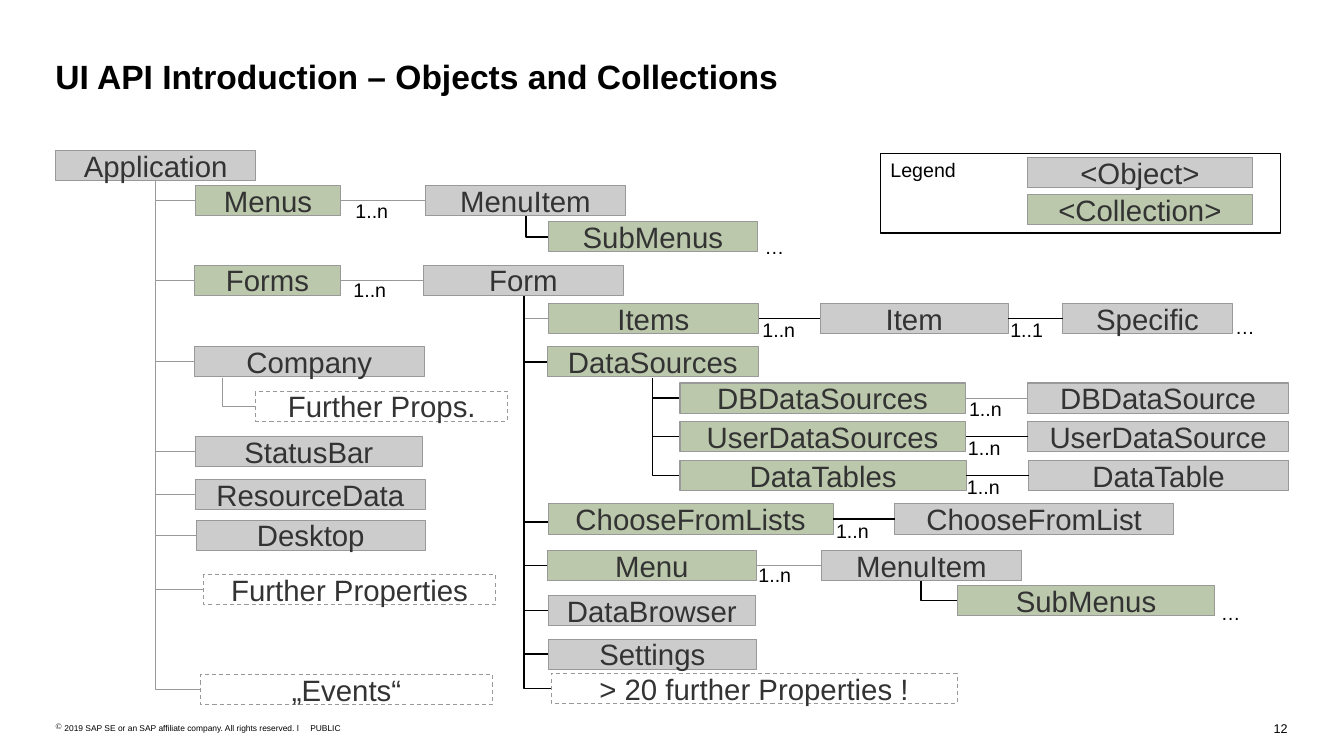
"""Build the UI API object and collection hierarchy slide."""
from lxml.etree import SubElement
from pptx import Presentation
from pptx.dml.color import RGBColor
from pptx.enum.dml import MSO_LINE
from pptx.enum.shapes import MSO_CONNECTOR, MSO_SHAPE
from pptx.enum.text import MSO_ANCHOR, PP_ALIGN
from pptx.oxml.ns import qn
from pptx.util import Pt

SCALE = 9144
FONT = "Arial"
BOX_HEIGHT = 30
COLOURS = {
    "object": "CCCCCC",
    "collection": "BBC8AC",
    "grey": "999999",
    "black": "000000",
    "label": "333333",
}
LINE_WIDTHS = {"grey": 0.75, "black": 1}

BRANCHES = [
    (154, 180, "grey", [
        ("Menus", 194, 184, 144, "collection"),
        ("Forms", 193, 263, 145, "collection"),
        ("Company", 193, 344, 228, "object"),
        ("StatusBar", 194, 433, 225, "object"),
        ("ResourceData", 194, 476, 228, "object"),
        ("Desktop", 195, 516, 227, "object"),
        ("Further Properties", 202, 570, 290, "further"),
        ("„Events“", 199, 669, 290, "further"),
    ]),
    (221, 375, "grey", [("Further Props.", 254, 388, 250, "further")]),
    (522, 214, "black", [("SubMenus", 544, 220, 208, "collection")]),
    (520, 293, "grey", [("Items", 544, 301, 209, "collection")]),
    (520, 293, "black", [
        ("DataSources", 543, 344, 210, "collection"),
        ("Menu", 543, 546, 208, "collection"),
        ("DataBrowser", 544, 591, 206, "object"),
        ("Settings", 544, 634, 207, "object"),
        ("> 20 further Properties !", 547, 668, 403, "further"),
    ]),
    (648, 375, "black", [
        ("DBDataSources", 675, 380, 283, "collection"),
        ("UserDataSources", 675, 418, 283, "collection"),
        ("DataTables", 675, 457, 284, "collection"),
    ]),
    (914, 576, "black", [("SubMenus", 950, 581, 256, "collection")]),
]
OTHER_BOXES = [
    ("Application", 55, 149, 199, "object"),
    ("MenuItem", 422, 184, 199, "object"),
    ("Form", 420, 263, 199, "object"),
    ("Item", 814, 301, 187, "object"),
    ("Specific", 1055, 301, 168, "object"),
    ("DBDataSource", 1020, 380, 259, "object"),
    ("UserDataSource", 1020, 418, 259, "object"),
    ("DataTable", 1021, 457, 258, "object"),
    ("ChooseFromLists", 544, 500, 283, "collection"),
    ("ChooseFromList", 888, 500, 277, "object"),
    ("MenuItem", 815, 546, 199, "object"),
    ("<Object>", 1020, 156, 223, "object"),
    ("<Collection>", 1020, 193, 223, "collection"),
]
LINKS = [
    (338, 422, 199, "grey"),
    (338, 420, 278, "grey"),
    (753, 814, 316, "black"),
    (1001, 1055, 316, "black"),
    (959, 1020, 395, "grey"),
    (959, 1020, 433, "black"),
    (959, 1021, 472, "black"),
    (520, 544, 518, "black"),
    (827, 888, 515, "black"),
    (751, 815, 561, "grey"),
]
LABELS = {
    "1..n": [(343, 192), (341, 271), (747, 311), (952, 389), (951, 428),
             (950, 466), (820, 510), (743, 554)],
    "1..1": [(993, 311)],
    "…": [(749, 228), (1216, 308), (1202, 591)],
}


def px(*lengths):
    """Turn whole px lengths into EMU."""
    return [round(length * SCALE) for length in lengths]


def colour(name):
    """Look up a named colour."""
    return RGBColor.from_string(COLOURS[name])


def write(shape, text, size=14, tone="black", bold=False, align=PP_ALIGN.LEFT,
          anchor=MSO_ANCHOR.TOP, wrap=True, margins=(10, 5), bullet=None):
    """Put formatted text into a shape."""
    frame = shape.text_frame
    frame.word_wrap = wrap
    frame.vertical_anchor = anchor
    frame.margin_left = frame.margin_right = px(margins[0])[0]
    frame.margin_top = frame.margin_bottom = px(margins[1])[0]
    para = frame.paragraphs[0]
    para.alignment = align
    if bullet:
        properties = para._p.get_or_add_pPr()
        indent = px(9)[0]
        properties.set("marL", str(indent))
        properties.set("indent", str(-indent))
        SubElement(properties, qn("a:buChar")).set("char", bullet)
    span = para.add_run()
    span.text = text
    span.font.name = FONT
    span.font.size = Pt(size)
    span.font.bold = bold
    span.font.color.rgb = colour(tone)


def add_text(page, text, left, top, width, height, **style):
    """Add a text box."""
    box = page.shapes.add_textbox(*px(left, top, width, height))
    write(box, text, **style)


def paint_line(line, tone):
    """Give a line its tone and matching width."""
    line.color.rgb = colour(tone)
    line.width = Pt(LINE_WIDTHS[tone])


def add_rectangle(page, left, top, width, height, tone, fill=None):
    """Add a flat outlined rectangle."""
    box = page.shapes.add_shape(MSO_SHAPE.RECTANGLE, *px(left, top, width, height))
    box.shadow.inherit = False
    if fill:
        box.fill.solid()
        box.fill.fore_color.rgb = colour(fill)
    else:
        box.fill.background()
    paint_line(box.line, tone)
    return box


def add_box(page, text, left, top, width, kind):
    """Add an object, collection or dashed further-members box."""
    further = kind == "further"
    box = add_rectangle(page, left, top, width, BOX_HEIGHT, "grey",
                        fill=None if further else kind)
    if further:
        box.line.dash_style = MSO_LINE.DASH
    write(box, text, size=21, tone="label", align=PP_ALIGN.CENTER,
          anchor=MSO_ANCHOR.MIDDLE, wrap=False, margins=(0, 0))


def add_line(page, start_x, start_y, end_x, end_y, tone, kind=MSO_CONNECTOR.STRAIGHT):
    """Add a connector without a shadow."""
    line = page.shapes.add_connector(kind, *px(start_x, start_y, end_x, end_y))
    paint_line(line.line, tone)
    SubElement(line._element.spPr, qn("a:effectLst"))
    return line


def add_elbow(page, start_x, start_y, end_x, end_y, tone):
    """Add a connector that goes down and then right."""
    across, down = end_x - start_x, end_y - start_y
    left = (start_x + end_x - down) / 2
    top = (start_y + end_y - across) / 2
    line = add_line(page, left, top, left + down, top + across, tone, MSO_CONNECTOR.ELBOW)
    properties = line._element.spPr
    properties.find(qn("a:prstGeom")).set("prst", "bentConnector2")
    frame = properties.find(qn("a:xfrm"))
    frame.set("rot", "16200000")
    frame.set("flipH", "1")


def add_branch(page, start_x, start_y, tone, members):
    """Add member boxes, each joined to one parent point."""
    for member in members:
        left, top = member[1:3]
        add_elbow(page, start_x, start_y, left, top + BOX_HEIGHT // 2, tone)
        add_box(page, *member)


def add_title(page, text):
    """Place and fill the title placeholder."""
    title = page.shapes.title
    title.left, title.top, title.width, title.height = px(55, 55, 1223, 40)
    write(title, text, size=24, bold=True, anchor=MSO_ANCHOR.BOTTOM, margins=(0, 0))


def add_footer(page):
    """Add the copyright line, classification and page number."""
    small = {"size": 6, "margins": (0, 0)}
    add_text(page, "2019 SAP SE or an SAP affiliate company. All rights reserved. ǀ",
             55, 717, 248, 10, bullet="©", **small)
    add_text(page, "PUBLIC", 308, 717, 31, 10, wrap=False, **small)
    add_text(page, "12", 1263, 715, 15, 15, size=9, align=PP_ALIGN.RIGHT,
             wrap=False, margins=(0, 0))


def main():
    """Build and save the deck."""
    deck = Presentation()
    deck.slide_width, deck.slide_height = px(1334, 750)
    page = deck.slides.add_slide(deck.slide_layouts[5])
    add_title(page, "UI API Introduction – Objects and Collections")
    add_footer(page)
    for branch in BRANCHES:
        add_branch(page, *branch)
    for box in OTHER_BOXES:
        add_box(page, *box)
    for start_x, end_x, middle, tone in LINKS:
        add_line(page, start_x, middle, end_x, middle, tone)
    for text, places in LABELS.items():
        for left, top in places:
            add_text(page, text, left, top, 55 if text == "…" else 86, 34)
    write(add_rectangle(page, 874, 152, 397, 79, "black"), "Legend")
    deck.save("out.pptx")


if __name__ == "__main__":
    main()
